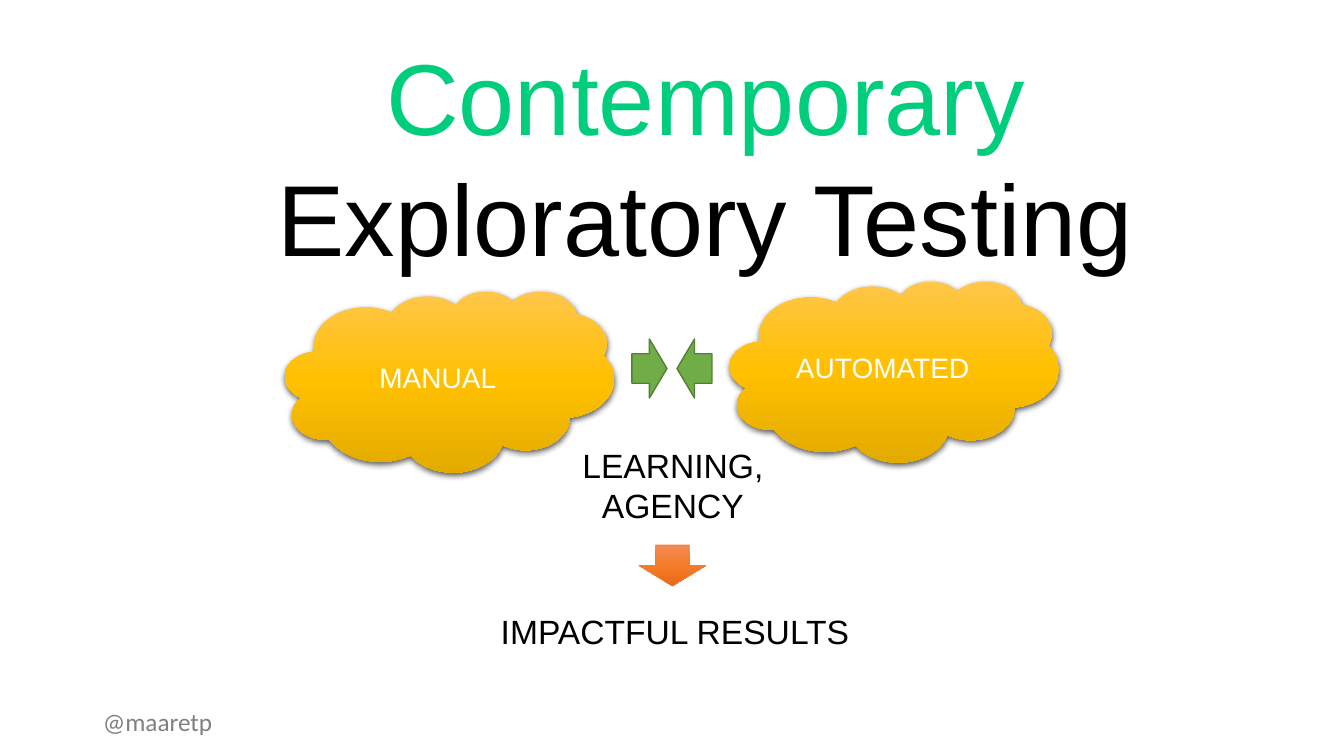
from copy import deepcopy

from lxml import etree
from pptx import Presentation
from pptx import util as u
from pptx.dml.color import RGBColor
from pptx.enum import shapes, text
from pptx.oxml.ns import qn

GREEN = RGBColor(0x01, 0xCE, 0x7D)
BLACK = RGBColor(0, 0, 0)
WHITE = RGBColor(0xFF, 0xFF, 0xFF)
GREY = RGBColor(0x80, 0x80, 0x80)
LEAF = RGBColor(0x70, 0xAD, 0x47)
LEAF_EDGE = RGBColor(0x53, 0x80, 0x35)
ORANGE = RGBColor(0xED, 0x7D, 0x31)
GOLD_FADE = [RGBColor(0xFF, 0xC6, 0x4B), RGBColor(0xFF, 0xC0, 0x00), RGBColor(0xE3, 0xAB, 0x00)]
ORANGE_FADE = [RGBColor(0xF1, 0x8C, 0x57), RGBColor(0xF6, 0x7B, 0x28), RGBColor(0xE5, 0x6C, 0x19)]

TITLE = [("Contemporary", GREEN), (" Exploratory Testing", BLACK)]
TITLE_BOX = (146, 30, 1119, 254)
CLOUDS = [("MANUAL", 285, 291), ("AUTOMATED", 730, 281)]
CLOUD_SIZE = (329, 181)
MEETING_ARROWS = [(632, 0), (677, 180)]
MEETING_TOP, MEETING_SIZE = 339, (35, 59)
RESULT_ARROW = (639, 545, 67, 41)
LABELS = [
    (["@maaretp"], (93, 701, 137, 40), 18, "Calibri", GREY, text.PP_ALIGN.LEFT),
    (["LEARNING,", "AGENCY"], (571, 440, 204, 92), 24, "Arial", BLACK, text.PP_ALIGN.CENTER),
    (["IMPACTFUL RESULTS"], (489, 606, 372, 50), 24, "Arial", BLACK, text.PP_ALIGN.CENTER),
]
PX_PER_INCH = 100.8


def px(*lengths):
    return [u.Emu(round(length * 914400 / PX_PER_INCH)) for length in lengths]


def write(paragraph, words, size, font, colour, align=text.PP_ALIGN.CENTER):
    paragraph.alignment = align
    run = paragraph.add_run()
    run.text = words
    run.font.size = u.Pt(size)
    run.font.name = font
    run.font.color.rgb = colour


def add_shape(slide, preset, box):
    shape = slide.shapes.add_shape(preset, *px(*box))
    shape.shadow.inherit = False
    return shape


def fade(shape, colours):
    shape.fill.gradient()
    shape.fill.gradient_angle = 270
    stop_list = shape.element.spPr.find(qn("a:gradFill")).find(qn("a:gsLst"))
    stop_list.insert(0, deepcopy(stop_list[0]))
    for index, (stop, colour) in enumerate(zip(shape.fill.gradient_stops, colours)):
        stop.position = index / 2
        stop.color.rgb = colour


def drop_shadow(shape):
    effects = shape.element.spPr.find(qn("a:effectLst"))
    shadow = etree.SubElement(effects, qn("a:outerShdw"), blurRad=str(u.Pt(4.5)),
                              dist=str(u.Pt(1.5)), dir="5400000", algn="ctr", rotWithShape="0")
    colour = etree.SubElement(shadow, qn("a:srgbClr"), val=str(BLACK))
    etree.SubElement(colour, qn("a:alpha"), val="63000")


def add_title(slide):
    title = slide.shapes.title
    title.left, title.top, title.width, title.height = px(*TITLE_BOX)
    frame = title.text_frame
    frame.word_wrap = True
    frame.auto_size = text.MSO_AUTO_SIZE.SHAPE_TO_FIT_TEXT
    frame.vertical_anchor = text.MSO_ANCHOR.TOP
    for words, colour in TITLE:
        write(frame.paragraphs[0], words, 72, "Arial", colour)


def add_label(slide, lines, box, size, font, colour, align):
    frame = slide.shapes.add_textbox(*px(*box)).text_frame
    frame.word_wrap = False
    frame.auto_size = text.MSO_AUTO_SIZE.SHAPE_TO_FIT_TEXT
    for index, line in enumerate(lines):
        paragraph = frame.add_paragraph() if index else frame.paragraphs[0]
        write(paragraph, line, size, font, colour, align)


def main():
    deck = Presentation()
    deck.slide_width, deck.slide_height = px(1344, 756)
    slide = deck.slides.add_slide(deck.slide_layouts[5])
    add_title(slide)

    for words, left, top in CLOUDS:
        cloud = add_shape(slide, shapes.MSO_SHAPE.CLOUD, (left, top, *CLOUD_SIZE))
        fade(cloud, GOLD_FADE)
        drop_shadow(cloud)
        cloud.line.fill.background()
        cloud.text_frame.vertical_anchor = text.MSO_ANCHOR.MIDDLE
        write(cloud.text_frame.paragraphs[0], words, 20, "Arial", WHITE)

    for label in LABELS:
        add_label(slide, *label)

    result_arrow = add_shape(slide, shapes.MSO_SHAPE.DOWN_ARROW, RESULT_ARROW)
    fade(result_arrow, ORANGE_FADE)
    result_arrow.line.color.rgb = ORANGE
    result_arrow.line.width = u.Pt(0.5)

    for left, rotation in MEETING_ARROWS:
        arrow = add_shape(slide, shapes.MSO_SHAPE.RIGHT_ARROW, (left, MEETING_TOP, *MEETING_SIZE))
        arrow.rotation = rotation
        arrow.fill.solid()
        arrow.fill.fore_color.rgb = LEAF
        arrow.line.color.rgb = LEAF_EDGE
        arrow.line.width = u.Pt(1)

    deck.save("out.pptx")


if __name__ == "__main__":
    main()
